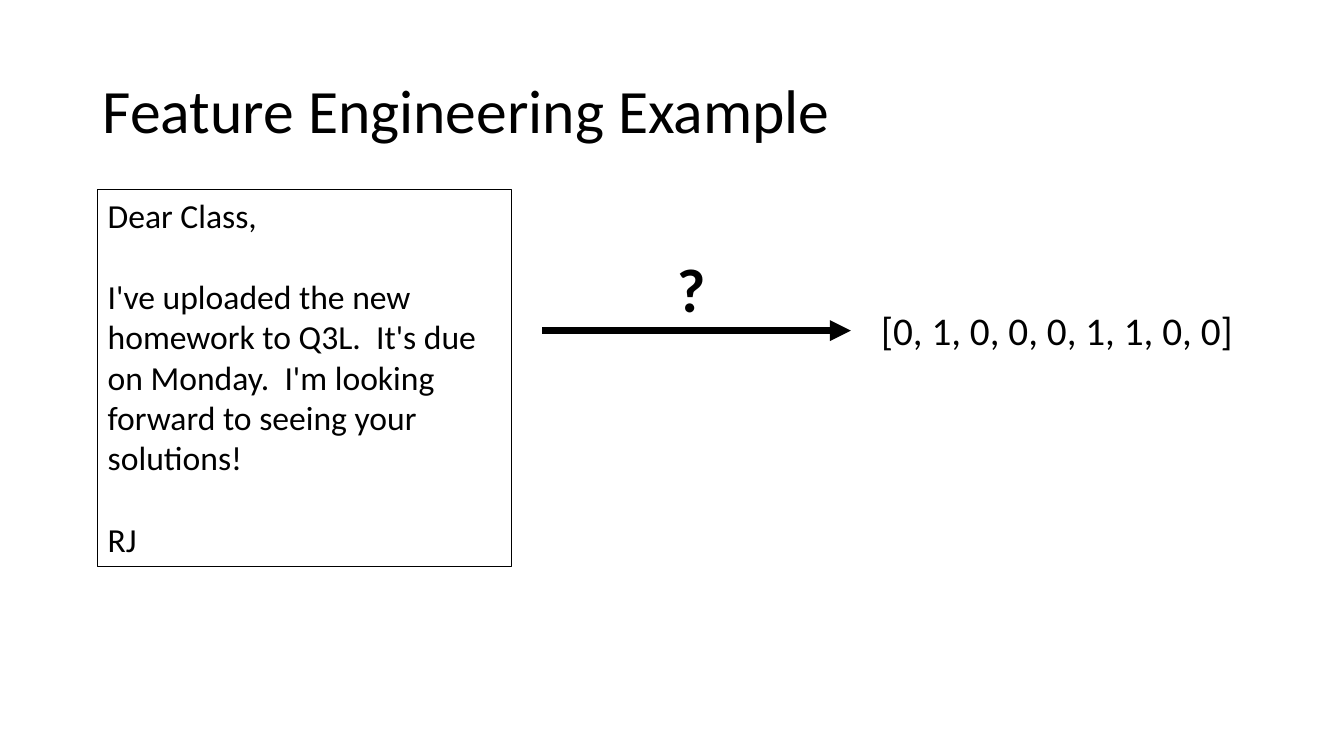
from dataclasses import dataclass

from lxml import etree
from pptx import Presentation
from pptx.dml.color import RGBColor
from pptx.enum import shapes, text
from pptx.oxml import ns
from pptx.util import Inches, Pt


@dataclass(frozen=True)
class Theme:
    font: str = "Calibri"
    ink: RGBColor = RGBColor(0, 0, 0)
    head: int = 44
    mail: int = 24
    code: int = 28
    gap: float = 29.3


theme = Theme()


def write(para, words, size, bold=False):
    run = para.add_run()
    run.text = words
    run.font.name = theme.font
    run.font.size = Pt(size)
    run.font.bold = bold
    run.font.color.rgb = theme.ink


def place(x, y, w, h):
    return Inches(x), Inches(y), Inches(w), Inches(h)


deck = Presentation()
deck.slide_width, deck.slide_height = Inches(13.33), Inches(7.5)
slide = deck.slides.add_slide(deck.slide_layouts[5])

# Title
title = slide.shapes.title
title.left, title.top, title.width, title.height = place(0.92, 0.4, 11.5, 1.45)
frame = title.text_frame
frame.auto_size = text.MSO_AUTO_SIZE.NONE
frame.vertical_anchor = text.MSO_ANCHOR.MIDDLE
para = frame.paragraphs[0]
para.alignment = text.PP_ALIGN.LEFT
para.line_spacing = 0.9
write(para, "Feature Engineering Example", theme.head)

# Email, one blank line's height between its parts
mail = slide.shapes.add_textbox(*place(0.97, 1.88, 4.1, 3.74))
mail.line.color.rgb = theme.ink
mail.line.width = Pt(0.75)
frame = mail.text_frame
frame.word_wrap = True
parts = [
    "Dear Class,",
    "I've uploaded the new homework to Q3L.  It's due on Monday.  "
    "I'm looking forward to seeing your solutions!",
    "RJ",
]
for i, part in enumerate(parts):
    para = frame.add_paragraph() if i else frame.paragraphs[0]
    if i:
        para.space_before = Pt(theme.gap)
    write(para, part, theme.mail)

# Arrow from email to vector
arrow = slide.shapes.add_connector(
    shapes.MSO_CONNECTOR.STRAIGHT,
    Inches(5.38), Inches(3.28), Inches(8.44), Inches(3.28))
arrow.line.color.rgb = theme.ink
arrow.line.width = Pt(5)
etree.SubElement(arrow.line._get_or_add_ln(), ns.qn("a:tailEnd"), type="triangle")
etree.SubElement(arrow._element.spPr, ns.qn("a:effectLst"))

# Arrow label and feature vector
labels = [
    ((6.3, 2.44, 1.11, 0.84), "?", theme.head, True, text.PP_ALIGN.CENTER),
    ((8.64, 2.99, 3.73, 0.57), "[0, 1, 0, 0, 0, 1, 1, 0, 0]",
     theme.code, False, text.PP_ALIGN.LEFT),
]
for spot, words, size, bold, align in labels:
    label = slide.shapes.add_textbox(*place(*spot))
    label.text_frame.word_wrap = True
    para = label.text_frame.paragraphs[0]
    para.alignment = align
    write(para, words, size, bold)

deck.save("out.pptx")
